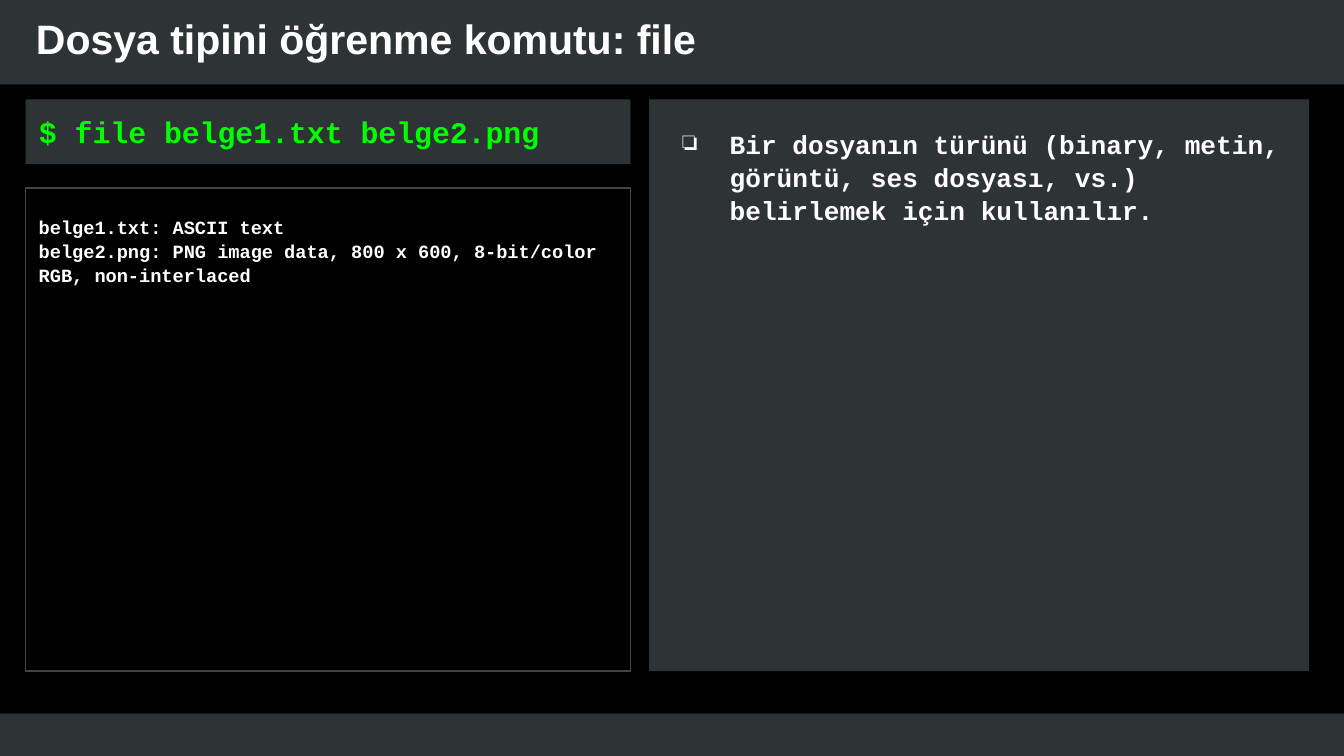
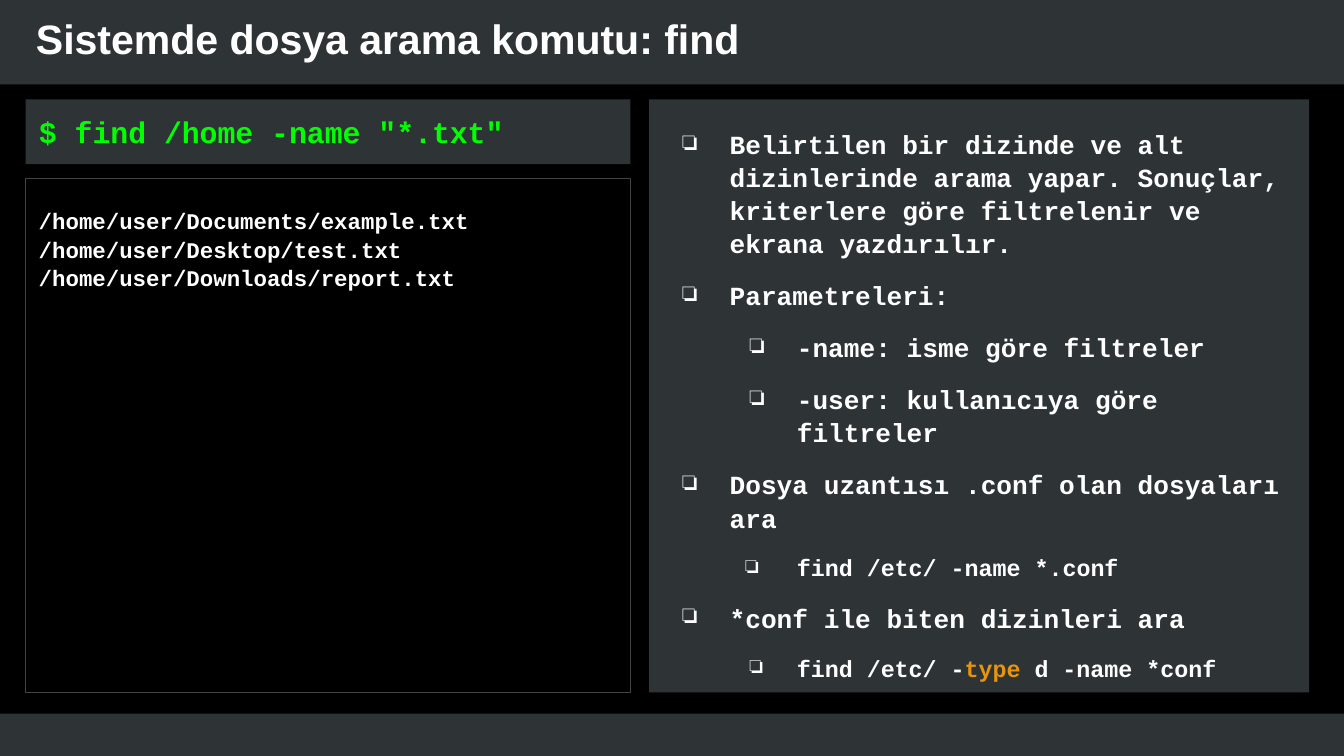
from lxml.etree import SubElement
from pptx import Presentation
from pptx.dml.color import RGBColor
from pptx.enum.shapes import MSO_SHAPE
from pptx.enum.text import MSO_ANCHOR, PP_ALIGN
from pptx.oxml.ns import qn
from pptx.util import Pt

COLORS = {
    "background": "000000",
    "panel": "2E3436",
    "border": "434343",
    "text": "FFFFFF",
    "command": "00FF00",
    "highlight": "E9950C",
}
TITLE_FONT = "Arial"
CODE_FONT = "Courier New"
LEFT, TOP, LEFT_WIDTH = 13.7, 53.3, 324
RIGHT, RIGHT_WIDTH = 347.8, 353.5
PANEL_INSETS = (7.2, 14.4, 7.2, 7.2)
CODE_SPACING = 1.06


def color(name):
    return RGBColor.from_string(COLORS[name])


def add_box(slide, left, top, width, height, fill=None, line=None):
    shape = slide.shapes.add_shape(
        MSO_SHAPE.RECTANGLE, Pt(left), Pt(top), Pt(width), Pt(height))
    shape.shadow.inherit = False
    if fill:
        shape.fill.solid()
        shape.fill.fore_color.rgb = color(fill)
    else:
        shape.fill.background()
    if line:
        shape.line.color.rgb = color(line)
        shape.line.width = Pt(0.75)
    else:
        shape.line.fill.background()
    return shape


def prepare_frame(shape, insets, anchor=MSO_ANCHOR.TOP):
    frame = shape.text_frame
    frame.word_wrap = True
    frame.vertical_anchor = anchor
    frame.margin_left, frame.margin_top, frame.margin_right, frame.margin_bottom = map(Pt, insets)
    return frame


def next_paragraph(frame):
    first = frame.paragraphs[0]
    return frame.add_paragraph() if first.runs else first


def set_indent(paragraph, margin, indent=0, bullet=None):
    properties = paragraph._p.get_or_add_pPr()
    properties.set("marL", str(Pt(margin)))
    properties.set("indent", str(Pt(indent)))
    if bullet:
        bullet_color = SubElement(properties, qn("a:buClr"))
        SubElement(bullet_color, qn("a:srgbClr"), val=COLORS["text"])
        SubElement(properties, qn("a:buChar"), char=bullet)


def write(paragraph, text, size, font=CODE_FONT, fill="text", spacing=None):
    paragraph.alignment = PP_ALIGN.LEFT
    if spacing:
        paragraph.line_spacing = spacing
    run = paragraph.add_run()
    run.text = text
    run.font.name = font
    run.font.size = Pt(size)
    run.font.bold = True
    run.font.color.rgb = color(fill)


def add_title(slide, text):
    box = slide.shapes.add_textbox(Pt(12.2), Pt(0), Pt(617.8), Pt(40.3))
    frame = prepare_frame(box, (7.2,) * 4, MSO_ANCHOR.MIDDLE)
    write(next_paragraph(frame), text, 22, font=TITLE_FONT)


def add_command(slide, text):
    box = add_box(slide, LEFT, TOP, LEFT_WIDTH, 34.6, fill="panel")
    frame = prepare_frame(box, (0,) * 4, MSO_ANCHOR.MIDDLE)
    paragraph = next_paragraph(frame)
    set_indent(paragraph, 7.2)
    write(paragraph, text, 16, fill="command")


def add_output(slide, lines, top, bottom, size):
    box = add_box(slide, LEFT, top, LEFT_WIDTH, bottom - top, line="border")
    frame = prepare_frame(box, PANEL_INSETS)
    for line in lines:
        write(next_paragraph(frame), line, size, spacing=CODE_SPACING)


def add_notes_panel(slide, items, bottom):
    box = add_box(slide, RIGHT, TOP, RIGHT_WIDTH, bottom - TOP, fill="panel")
    frame = prepare_frame(box, PANEL_INSETS)
    for index, (level, size, hanging, runs) in enumerate(items):
        paragraph = next_paragraph(frame)
        paragraph.level = level
        set_indent(paragraph, 36 * (level + 1), -hanging, bullet="❏")
        if index:
            paragraph.space_before = Pt(10)
        for text, fill in runs:
            write(paragraph, text, size, fill=fill, spacing=CODE_SPACING)


def note(text, level=0, size=14, hanging=25.2):
    return level, size, hanging, [(text, "text")]


def add_command_slide(presentation, title, command, output, output_top, output_size, notes, bottom):
    slide = presentation.slides.add_slide(presentation.slide_layouts[6])
    add_box(slide, -2.2, 382.3, 725.8, 26.6, fill="panel")
    add_box(slide, -2.2, -5.8, 724.3, 51.1, fill="panel")
    add_title(slide, title)
    add_output(slide, output, output_top, bottom, output_size)
    add_command(slide, command)
    add_notes_panel(slide, notes, bottom)


def main():
    presentation = Presentation()
    presentation.slide_width, presentation.slide_height = Pt(720), Pt(405)
    background = presentation.slide_master.background.fill
    background.solid()
    background.fore_color.rgb = color("background")

    add_command_slide(
        presentation,
        "Dosya tipini öğrenme komutu: file",
        "$ file belge1.txt belge2.png",
        ["belge1.txt: ASCII text",
         "belge2.png: PNG image data, 800 x 600, 8-bit/color RGB, non-interlaced"],
        100.8, 10,
        [note("Bir dosyanın türünü (binary, metin, görüntü, ses dosyası, vs.) "
              "belirlemek için kullanılır.")],
        359.6)

    typed_search = [("find /etc/ -", "text"), ("type", "highlight"), (" d -name *conf", "text")]
    add_command_slide(
        presentation,
        "Sistemde dosya arama komutu: find",
        '$ find /home -name "*.txt"',
        [f"/home/user/{file}" for file in
         ("Documents/example.txt", "Desktop/test.txt", "Downloads/report.txt")],
        95.8, 12,
        [note("Belirtilen bir dizinde ve alt dizinlerinde arama yapar. Sonuçlar, "
              "kriterlere göre filtrelenir ve ekrana yazdırılır."),
         note("Parametreleri:"),
         note("-name: isme göre filtreler", level=1),
         note("-user: kullanıcıya göre filtreler", level=1),
         note("Dosya uzantısı .conf olan dosyaları ara"),
         note("find /etc/ -name *.conf", level=1, size=12.5, hanging=27.4),
         note("*conf ile biten dizinleri ara"),
         (1, 12.5, 25.2, typed_search)],
        371)

    presentation.save("out.pptx")


if __name__ == "__main__":
    main()
